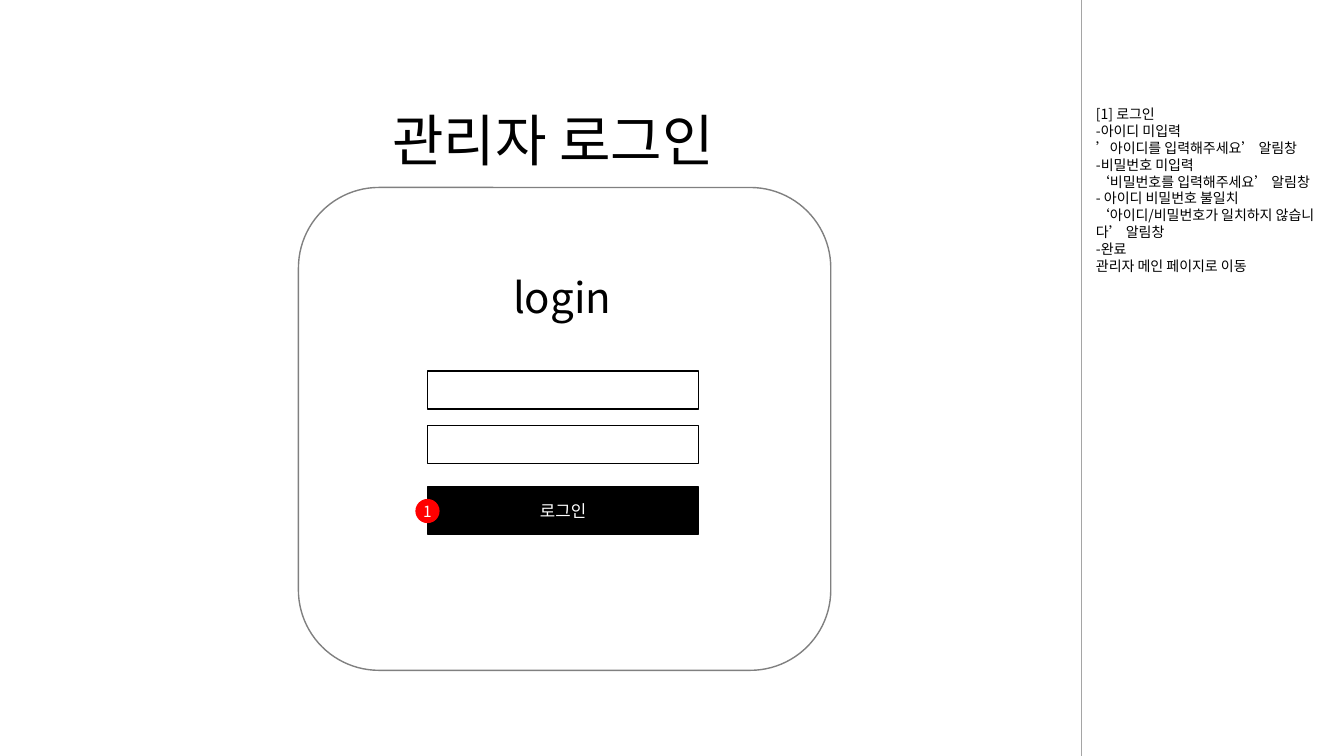
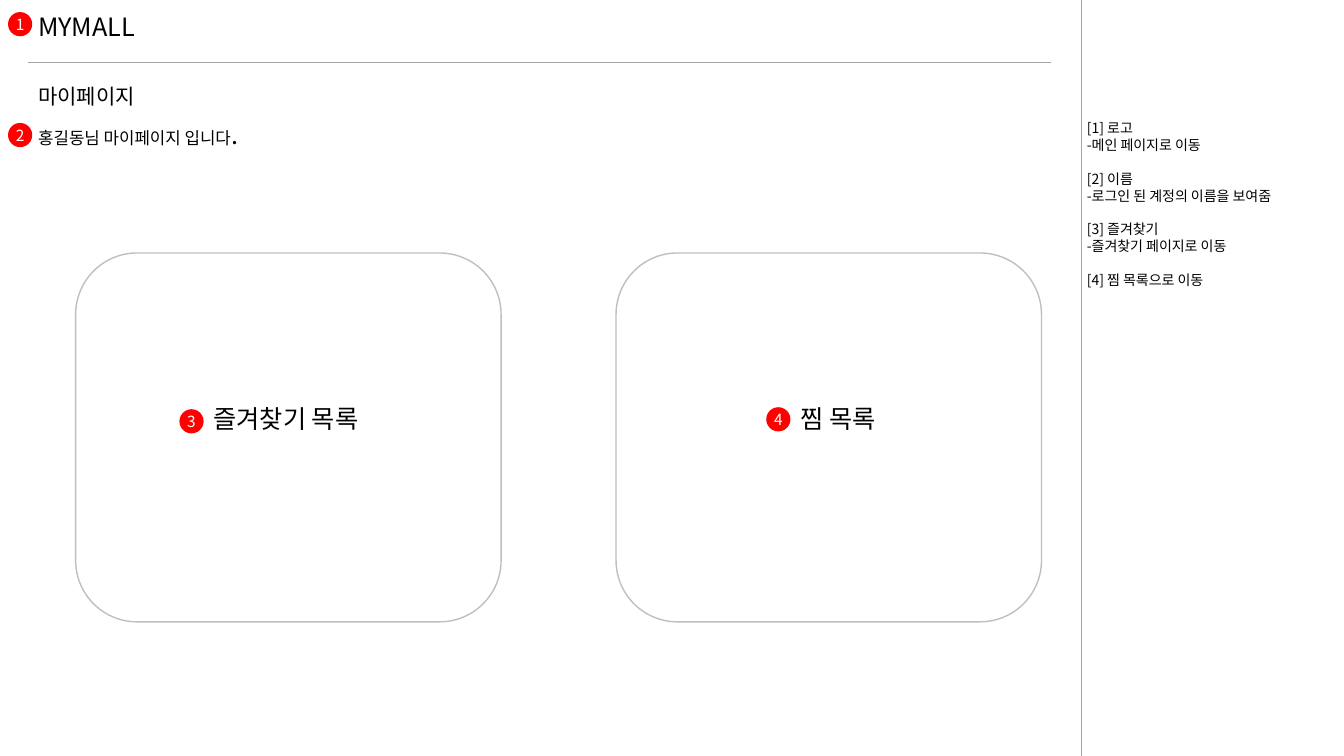
import lxml.etree
import pptx
import pptx.dml.color
import pptx.enum.shapes
import pptx.enum.text
import pptx.oxml.ns
import pptx.util

Inches = pptx.util.Inches
Pt = pptx.util.Pt
RGB = pptx.dml.color.RGBColor
KIND = pptx.enum.shapes.MSO_SHAPE
ALIGN = pptx.enum.text.PP_ALIGN
ANCHOR = pptx.enum.text.MSO_ANCHOR
FIT = pptx.enum.text.MSO_AUTO_SIZE
qn = pptx.oxml.ns.qn

BLACK = RGB(0, 0, 0)
WHITE = RGB(255, 255, 255)
RED = RGB(255, 0, 0)
RULE = RGB(0xA5, 0xA5, 0xA5)
GRAY = RGB(0x80, 0x80, 0x80)
SILVER = RGB(0xBF, 0xBF, 0xBF)
FONT = "Noto Sans CJK KR"
WIDTH, HEIGHT = 13.33, 7.5
DOT = 0.24

LOGIN_NOTES = [[
    "[1] 로그인",
    "-아이디 미입력",
    "’아이디를 입력해주세요’ 알림창",
    "-비밀번호 미입력",
    "‘비밀번호를 입력해주세요’ 알림창",
    "- 아이디 비밀번호 불일치",
    "‘아이디/비밀번호가 일치하지 않습니다’ 알림창",
    "-완료",
    "관리자 메인 페이지로 이동",
]]
PAGE_NOTES = [
    ["[1] 로고", "-메인 페이지로 이동"],
    ["[2] 이름", "-로그인 된 계정의 이름을 보여줌"],
    ["[3] 즐겨찾기", "-즐겨찾기 페이지로 이동"],
    ["[4] 찜 목록으로 이동"],
]


def style(para, size, color=BLACK, align=ALIGN.LEFT):
    para.alignment = align
    font = para.font
    font.size = Pt(size)
    font.color.rgb = color
    font.name = FONT
    lxml.etree.SubElement(font._element, qn("a:ea")).set("typeface", FONT)


def place(item, left, top, width, height):
    item.left, item.top = Inches(left), Inches(top)
    item.width, item.height = Inches(width), Inches(height)


def prep(frame, anchor=ANCHOR.TOP):
    frame.word_wrap = True
    frame.auto_size = FIT.NONE
    frame.vertical_anchor = anchor


def add_title(slide, text, box, size):
    title = slide.shapes.title
    place(title, *box)
    title.text_frame.text = text
    prep(title.text_frame)
    style(title.text_frame.paragraphs[0], size)


def add_notes(slide, groups, left, top):
    body = slide.placeholders[1]
    place(body, left, top, 2.56, 1.78)
    frame = body.text_frame
    frame.text = "\n".join(line for group in groups for line in group)
    prep(frame)
    gaps = [12 if row == 0 and group is not groups[0] else 0
            for group in groups for row in range(len(group))]
    for para, gap in zip(frame.paragraphs, gaps):
        style(para, 10)
        para.space_before = Pt(gap)
        props = para._p.get_or_add_pPr()
        props.set("marL", "0")
        props.set("indent", "0")
        bullet = lxml.etree.Element(qn("a:buNone"))
        props.find(qn("a:defRPr")).addprevious(bullet)


def add_text(slide, text, box, size):
    frame = slide.shapes.add_textbox(*map(Inches, box)).text_frame
    prep(frame)
    frame.text = text
    para = frame.paragraphs[0]
    style(para, size)
    return para


def add_box(slide, kind, box, fill=None, line=None):
    shape = slide.shapes.add_shape(kind, *map(Inches, box))
    shape.shadow.inherit = False
    if fill is None:
        shape.fill.background()
    else:
        shape.fill.solid()
        shape.fill.fore_color.rgb = fill
    if line is None:
        shape.line.fill.background()
    else:
        shape.line.color.rgb = line
        shape.line.width = Pt(1)
    return shape


def label(shape, text, size):
    frame = shape.text_frame
    prep(frame, ANCHOR.MIDDLE)
    frame.text = text
    style(frame.paragraphs[0], size, WHITE, ALIGN.CENTER)


def add_badge(slide, number, left, top):
    badge = add_box(slide, KIND.OVAL, (left, top, DOT, DOT), RED)
    label(badge, str(number), 11)
    frame = badge.text_frame
    frame.word_wrap = False
    frame.margin_left = frame.margin_right = 0
    frame.margin_top = frame.margin_bottom = 0


def add_rule(slide, x1, y1, x2, y2):
    rule = slide.shapes.add_connector(
        pptx.enum.shapes.MSO_CONNECTOR.STRAIGHT,
        Inches(x1), Inches(y1), Inches(x2), Inches(y2))
    rule.line.color.rgb = RULE
    rule.line.width = Pt(0.5)
    props = rule._element.spPr
    lxml.etree.SubElement(props, qn("a:effectLst"))
    return rule


def add_login(deck, layout):
    slide = deck.slides.add_slide(layout)
    side = add_rule(slide, 10.73, 0, 10.73, HEIGHT)
    layout.shapes.element.append(side._element)
    add_box(slide, KIND.ROUNDED_RECTANGLE, (2.96, 1.86, 5.28, 4.79), line=GRAY)
    add_title(slide, "관리자 로그인", (3.79, 1, 4.25, 0.77), 40)
    add_text(slide, "login", (4.99, 2.64, 4.86, 0.61), 30)
    for top in (3.68, 4.22):
        add_box(slide, KIND.RECTANGLE, (4.24, top, 2.69, 0.38), line=BLACK)
    button = add_box(slide, KIND.RECTANGLE, (4.24, 4.83, 2.69, 0.47),
                     BLACK, BLACK)
    label(button, "로그인", 12)
    add_badge(slide, 1, 4.12, 4.95)
    add_notes(slide, LOGIN_NOTES, 10.77, 1)


def add_page(deck, layout):
    slide = deck.slides.add_slide(layout)
    add_rule(slide, 0.28, 0.62, 10.42, 0.62)
    add_text(slide, "MYMALL", (0.28, 0.06, 1.93, 0.4), 18)
    add_title(slide, "마이페이지", (0.28, 0.78, 2.27, 0.35), 15)
    hello = add_text(slide, "홍길동님 마이페이지 입니다",
                     (0.28, 1.13, 3.48, 0.4), 12)
    stop = hello.add_run()
    stop.text = "."
    stop.font.size = Pt(18)
    cards = [("즐겨찾기 목록", 0.75, 2.02, 1.96),
             ("찜 목록", 6.11, 7.84, 1.31)]
    for text, left, inner, width in cards:
        add_box(slide, KIND.ROUNDED_RECTANGLE, (left, 2.51, 4.22, 3.66),
                line=SILVER)
        add_text(slide, text, (inner, 3.95, width, 0.4), 18)
    spots = [(0.08, 0.12), (0.08, 1.22), (1.78, 4.06), (7.6, 4.04)]
    for number, spot in enumerate(spots, 1):
        add_badge(slide, number, *spot)
    add_notes(slide, PAGE_NOTES, 10.68, 1.14)


def main():
    deck = pptx.Presentation()
    deck.slide_width, deck.slide_height = Inches(WIDTH), Inches(HEIGHT)
    layout = deck.slide_layouts[1]
    add_login(deck, layout)
    add_page(deck, layout)
    deck.save("out.pptx")


main()
